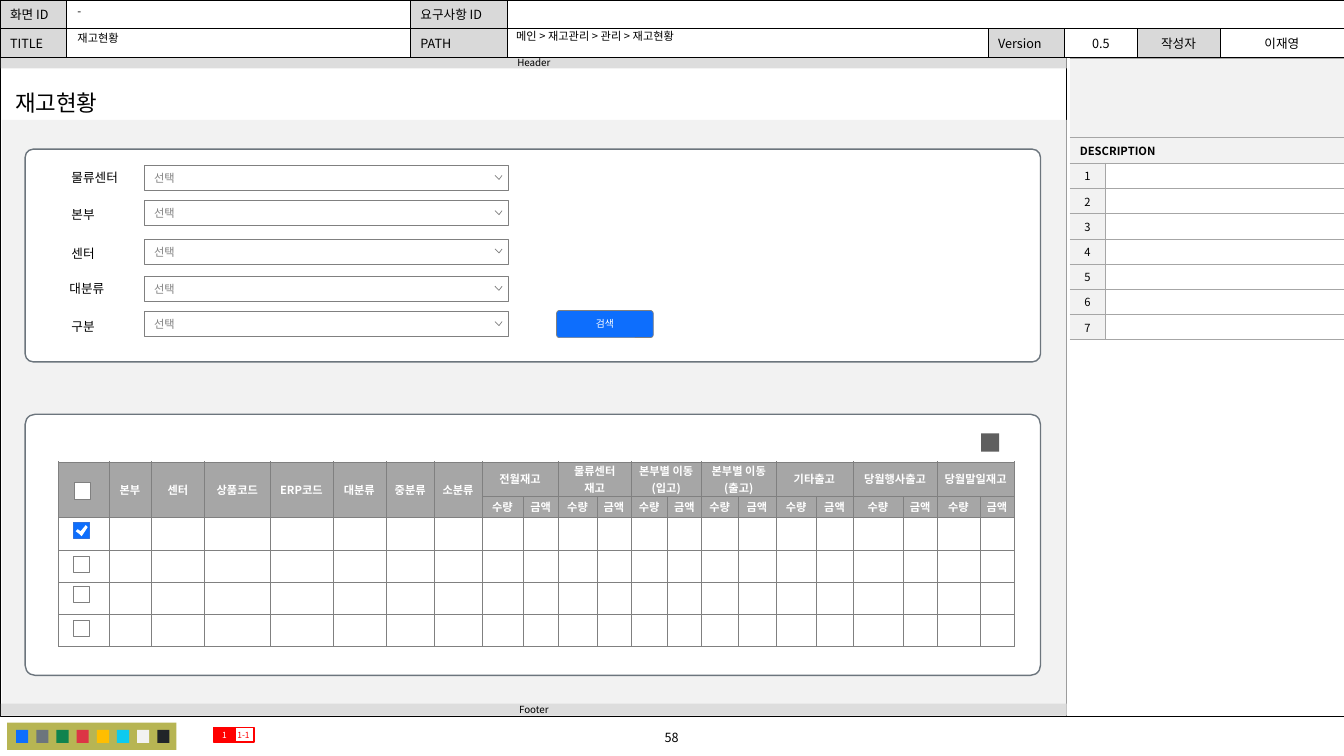
from lxml import etree
from pptx import Presentation
from pptx import util as u
from pptx.dml.color import RGBColor
from pptx.enum import shapes, text
from pptx.oxml import ns

COLORS = {
    "black": "000000", "white": "FFFFFF", "blue": "0D6EFD", "blue edge": "3272DD",
    "slate": "6C757D", "gray": "808080", "head": "A6A6A6", "label": "D9D9D9",
    "bar": "DDDDDD", "light": "F2F2F2", "olive": "B7B553", "green": "10834E",
    "rose": "DC3545", "amber": "FFBE00", "cyan": "0DCAF0", "dark": "212529",
    "red": "FF0000", "icon": "5F5F5F",
}
KOREAN = "Noto Sans CJK KR"
NO_GRID_STYLE = "{2D5ABB26-0587-4C30-8999-92F81FD0307C}"
RECT = shapes.MSO_SHAPE.RECTANGLE
ROUNDED = shapes.MSO_SHAPE.ROUNDED_RECTANGLE
LEFT, CENTER = text.PP_ALIGN.LEFT, text.PP_ALIGN.CENTER
TOP, MIDDLE = text.MSO_ANCHOR.TOP, text.MSO_ANCHOR.MIDDLE


def write(frame, words, color="black", font=KOREAN, align=LEFT, **font_values):
    paragraph = frame.paragraphs[0]
    paragraph.alignment = align
    run = paragraph.add_run()
    run.text = words
    for name, value in {"name": font, "size": u.Pt(9), "bold": False, **font_values}.items():
        setattr(run.font, name, value)
    run.font.color.rgb = RGBColor.from_string(COLORS[color])
    east_asian = etree.SubElement(run._r.get_or_add_rPr(), ns.qn("a:ea"))
    east_asian.set("typeface", KOREAN)
    return paragraph


def add_box(box, fill=None, line=None, width=0.5, kind=RECT, corner=0.038):
    shape = slide.shapes.add_shape(kind, *map(u.Inches, box))
    shape.shadow.inherit = False
    if kind == ROUNDED:
        shape.adjustments[0] = corner
    if fill:
        shape.fill.solid()
        shape.fill.fore_color.rgb = RGBColor.from_string(COLORS[fill])
    else:
        shape.fill.background()
    if line:
        shape.line.color.rgb = RGBColor.from_string(COLORS[line])
        shape.line.width = u.Pt(width)
    else:
        shape.line.fill.background()
    frame = shape.text_frame
    frame.vertical_anchor = MIDDLE
    frame.margin_left = frame.margin_right = frame.margin_top = frame.margin_bottom = 0
    return shape


presentation = Presentation()
presentation.slide_width, presentation.slide_height = u.Inches(13.33), u.Inches(7.5)
slide = presentation.slides.add_slide(presentation.slide_layouts[5])

# Screen frame, bars and panels
add_box((0, 0.55, 13.33, 6.56), line="black", width=0.25)
divider = slide.shapes.add_connector(
    shapes.MSO_CONNECTOR.STRAIGHT, *map(u.Inches, (10.58, 0.56, 10.58, 7.11)))
divider.line.color.rgb = RGBColor.from_string(COLORS["black"])
divider.line.width = u.Pt(0.5)
etree.SubElement(divider._element.spPr, ns.qn("a:effectLst"))
add_box((0.02, 1.19, 10.56, 5.91), "light")
for label, top in (("Footer", 6.98), ("Header", 0.56)):
    bar = add_box((0.01, top, 10.57, 0.12), "bar")
    write(bar.text_frame, label, align=CENTER, size=u.Pt(7))
for top, height in ((1.48, 2.11), (4.11, 2.59)):
    add_box((0.25, top, 10.07, height), "white", "slate", 1, ROUNDED)

# Colour key and callout sample
add_box((0.07, 7.17, 1.68, 0.27), "olive")
for index, color in enumerate(
        ("blue", "slate", "green", "rose", "amber", "cyan", "light", "dark")):
    add_box((0.16 + index * 0.2, 7.24, 0.12, 0.13), color)
for words, left, fill, color in (("1-1", 2.31, None, "red"), ("1", 2.12, "red", "white")):
    callout = add_box((left, 7.22, 0.21, 0.14), fill, "red", 1)
    write(callout.text_frame, words, color, align=CENTER, size=u.Pt(6))

# Tables: texts map (row, column) to words and format
centered = {"align": CENTER}
header = {
    "at": (0, 0), "columns": (0.66, 3.41, 0.96, 4.77, 0.76, 0.72, 0.82, 1.23),
    "rows": (0.28, 0.28), "merges": [(0, 3, 0, 7)],
    "texts": {
        (0, 0): ("화면 ID", {}), (0, 2): ("요구사항 ID", {}),
        (1, 0): ("TITLE", {}), (1, 2): ("PATH", {}), (1, 4): ("Version", {}),
        (1, 5): ("0.5", centered), (1, 6): ("작성자", centered), (1, 7): ("이재영", centered),
    },
    "shaded": {(0, 0), (0, 2), (1, 0), (1, 2), (1, 4), (1, 6)}, "shade": "label",
    "margins": (0.1, 0.05), "anchor": TOP, "border": ("black", 0.5),
}
small = {"align": CENTER, "size": u.Pt(8)}
description = {
    "at": (10.61, 0.58), "columns": (0.35, 2.37), "rows": (0.78, 0.26) + (0.25,) * 7,
    "merges": [(0, 0, 0, 1), (1, 0, 1, 1)],
    "texts": {(1, 0): ("DESCRIPTION", {"size": u.Pt(8), "bold": True}),
              **{(number + 1, 0): (str(number), small) for number in range(1, 8)}},
    "shaded": {(row, 0) for row in range(9)}, "shade": "light",
    "margins": (0.1, 0.03), "anchor": MIDDLE, "border": ("head", 0.5),
}
heading = {**small, "bold": True, "color": "white"}
single_heads = ("본부", "센터", "상품코드", "ERP코드", "대분류", "중분류", "소분류")
pair_heads = ("전월재고", "물류센터 재고", "본부별 이동(입고)", "본부별 이동(출고)",
              "기타출고", "당월행사출고", "당월말일재고")
pair_columns = range(8, 22, 2)
stock = {
    "at": (0.58, 4.58),
    "columns": (0.5, 0.42, 0.53, 0.65, 0.62, 0.53, 0.48, 0.47, 0.41, 0.35, 0.38,
                0.34, 0.36, 0.34, 0.36, 0.38, 0.4, 0.36, 0.5, 0.34, 0.42, 0.34),
    "rows": (0.34, 0.21) + (0.32,) * 4,
    "merges": [(0, column, 1, column) for column in range(8)]
              + [(0, column, 0, column + 1) for column in pair_columns],
    "texts": {
        **{(0, column): (words, heading) for column, words in enumerate(single_heads, 1)},
        **{(0, column): (words, heading) for column, words in zip(pair_columns, pair_heads)},
        **{(1, column): (("수량", "금액")[column % 2], heading) for column in range(8, 22)},
    },
    "shaded": {(row, column) for row in range(2) for column in range(22)}, "shade": "head",
    "margins": (0.06, 0.01), "anchor": MIDDLE, "border": ("gray", 0.25),
}
for data in (header, description, stock):
    columns, rows = data["columns"], data["rows"]
    size = (sum(columns), sum(rows))
    table = slide.shapes.add_table(
        len(rows), len(columns), *map(u.Inches, data["at"] + size)).table
    table.first_row = table.horz_banding = False
    table._tbl.tblPr.find(ns.qn("a:tableStyleId")).text = NO_GRID_STYLE
    for column, width in zip(table.columns, columns):
        column.width = u.Inches(width)
    for row, height in zip(table.rows, rows):
        row.height = u.Inches(height)
    for top, left, bottom, right in data["merges"]:
        table.cell(top, left).merge(table.cell(bottom, right))
    border_color, border_width = data["border"]
    margin_x, margin_y = map(u.Inches, data["margins"])
    for place in ((row, column) for row in range(len(rows)) for column in range(len(columns))):
        cell = table.cell(*place)
        sides = "LRTB"
        if data is description:
            sides = "LTB" if place[1] == 1 and not cell.is_spanned else "TB"
        for side in sides:
            edge = etree.SubElement(cell._tc.get_or_add_tcPr(), ns.qn("a:ln" + side))
            edge.set("w", str(u.Pt(border_width)))
            paint = etree.SubElement(edge, ns.qn("a:solidFill"))
            etree.SubElement(paint, ns.qn("a:srgbClr")).set("val", COLORS[border_color])
        cell.fill.solid()
        fill = data["shade"] if place in data["shaded"] else "white"
        cell.fill.fore_color.rgb = RGBColor.from_string(COLORS[fill])
        cell.margin_left = cell.margin_right = margin_x
        cell.margin_top = cell.margin_bottom = margin_y
        cell.vertical_anchor = data["anchor"]
        if place in data["texts"]:
            words, values = data["texts"][place]
            write(cell.text_frame, words, **values)
        else:
            cell.text_frame.paragraphs[0]._p.get_or_add_endParaRPr().set("sz", "800")

# Title and header entries
title = slide.shapes.title
title.left, title.top, title.width, title.height = map(u.Inches, (0.05, 0.83, 1.1, 0.37))
title.text_frame.word_wrap = False
title.text_frame.vertical_anchor = TOP
write(title.text_frame, "재고현황", size=u.Pt(16))
for words, box in (("메인 > 재고관리 > 관리 > 재고현황", (5.02, 0.26, 4.74, 0.23)),
                   ("-", (0.67, 0.01, 3.4, 0.23)),
                   ("재고현황", (0.67, 0.28, 3.38, 0.2))):
    entry = slide.shapes.add_textbox(*map(u.Inches, box))
    entry.text_frame.word_wrap = True
    write(entry.text_frame, words, size=u.Pt(8)).line_spacing = 0.9
page_number = slide.shapes.add_textbox(*map(u.Inches, (5.37, 7.19, 2.58, 0.25)))
page_number.text_frame.word_wrap = True
write(page_number.text_frame, "58", align=CENTER)

# Search filters
chevrons = []
for words, left, label_top, top in (
        ("물류센터", 0.61, 1.64, 1.64), ("본부", 0.61, 2, 1.99), ("센터", 0.61, 2.39, 2.37),
        ("대분류", 0.59, 2.74, 2.74), ("구분", 0.61, 3.11, 3.09)):
    label = slide.shapes.add_textbox(*map(u.Inches, (left, label_top, 0.75, 0.25)))
    label.text_frame.word_wrap = True
    write(label.text_frame, words)
    dropdown = add_box((1.43, top, 3.61, 0.25), "white", "gray")
    dropdown.text_frame.margin_left = u.Inches(0.1)
    write(dropdown.text_frame, "선택", "gray", "Cabin", size=u.Pt(8))
    chevrons.append([(4.98, top + 0.1), (4.95, top + 0.14), (4.91, top + 0.1)])
button = add_box((5.52, 3.08, 0.96, 0.27), "blue", "gray", 0.5, ROUNDED, 0.108)
write(button.text_frame, "검색", "white", "Cabin", CENTER, size=u.Pt(7))

# Checkboxes and export icon
add_box((0.73, 5.18, 0.16, 0.16), "blue", "blue edge")
for left, top in ((0.74, 4.79), (0.73, 5.52), (0.73, 5.82), (0.73, 6.15)):
    add_box((left, top, 0.16, 0.16), "white", "gray")
add_box((9.73, 4.3, 0.18, 0.18), "icon")

# Dropdown chevrons and check mark
check = [(0.85, 5.21), (0.8, 5.27), (0.77, 5.25), (0.75, 5.27), (0.79, 5.3),
         (0.81, 5.32), (0.83, 5.29), (0.87, 5.23)]
for points in chevrons + [check]:
    start, *others = [tuple(map(u.Inches, point)) for point in points]
    builder = slide.shapes.build_freeform(*start)
    builder.add_line_segments(others, close=points is check)
    mark = builder.convert_to_shape()
    mark.shadow.inherit = False
    mark.fill.solid()
    mark.fill.fore_color.rgb = RGBColor.from_string(COLORS["white"])
    if points is check:
        mark.line.fill.background()
    else:
        mark.line.color.rgb = RGBColor.from_string(COLORS["gray"])
        mark.line.width = u.Pt(0.5)

presentation.save("out.pptx")
